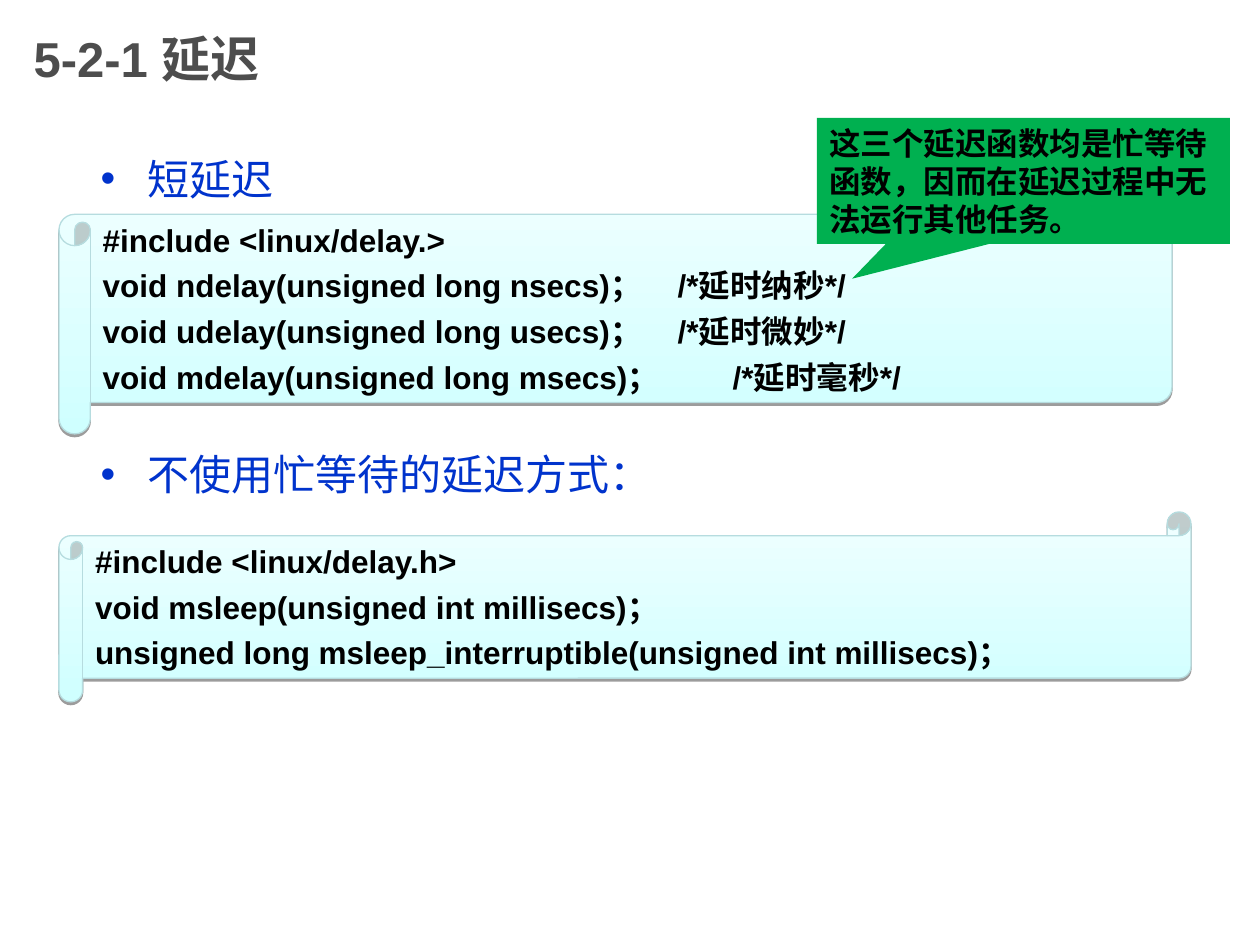
from lxml.etree import SubElement
from pptx import Presentation
from pptx.dml.color import RGBColor as RGB
from pptx.enum.shapes import MSO_SHAPE as SHAPE
from pptx.enum.text import MSO_ANCHOR as ANCHOR, MSO_AUTO_SIZE as AUTO, PP_ALIGN as ALIGN
from pptx.oxml.ns import qn
from pptx.util import Emu, Pt

COLORS = {
    "title": "4D4D4D", "topic": "0033CC", "text": "000000",
    "deep": "CFFFFF", "pale": "F0FFFF", "edge": "B6DCDF",
    "shade": "000000", "note": "00B050",
}
FONT = "Arial"


def px(n):
    return Emu(round(n * 914400 / 126))


def color(name):
    return RGB.from_string(COLORS[name])


def place(shape, box):
    shape.left, shape.top, shape.width, shape.height = map(px, box)


def write(para, text, size=18, ink="text", bold=True, before=0):
    para.alignment = ALIGN.LEFT
    para.space_before = Pt(before)
    run = para.add_run()
    run.text = text
    font = run.font
    font.name, font.size, font.bold = FONT, Pt(size), bold
    font.color.rgb = color(ink)


def lines(frame, texts):
    """Yield one paragraph of the frame for each text."""
    for i, text in enumerate(texts):
        yield i, frame.paragraphs[0] if i == 0 else frame.add_paragraph(), text


def setup(frame, anchor=ANCHOR.TOP):
    frame.word_wrap = True
    frame.auto_size = AUTO.NONE
    frame.vertical_anchor = anchor


def add_tab(para, stop):
    tabs = SubElement(para._p.get_or_add_pPr(), qn("a:tabLst"))
    SubElement(tabs, qn("a:tab"), pos=str(px(stop)), algn="l")


def add_shade(shape):
    effects = SubElement(shape._element.spPr, qn("a:effectLst"))
    outer = SubElement(effects, qn("a:outerShdw"), blurRad="0",
                       dist=str(Pt(1.6)), dir="5400000", rotWithShape="0")
    ink = SubElement(outer, qn("a:srgbClr"), val=COLORS["shade"])
    SubElement(ink, qn("a:alpha"), val="38000")


def add_title(slide, box, text):
    title = slide.shapes.title
    place(title, box)
    setup(title.text_frame, ANCHOR.MIDDLE)
    write(title.text_frame.paragraphs[0], text, size=28, ink="title")


def add_topics(slide, box, topics):
    """Bulleted topics, each given as text and space before in points."""
    body = slide.placeholders[1]
    place(body, box)
    setup(body.text_frame)
    for _, para, (text, gap) in lines(body.text_frame, topics):
        write(para, text, size=24, ink="topic", bold=False, before=gap)
        props = para._p.get_or_add_pPr()
        props.set("marL", str(px(47)))
        props.set("indent", str(px(-47)))
        SubElement(props, qn("a:buFont"), typeface=FONT)
        SubElement(props, qn("a:buChar"), char="•")


def add_scroll(slide, box, code, stops=None):
    """Code on a scroll; stops maps a line number to its comment's tab."""
    scroll = slide.shapes.add_shape(SHAPE.HORIZONTAL_SCROLL, *map(px, box))
    scroll.adjustments[0] = 0.125
    fill = scroll.fill
    fill.gradient()
    fill.gradient_angle = 90
    for stop, name in zip(fill.gradient_stops, ("deep", "pale")):
        stop.color.rgb = color(name)
    scroll.line.color.rgb = color("edge")
    scroll.line.width = Pt(0.75)
    add_shade(scroll)
    setup(scroll.text_frame)
    for i, para, text in lines(scroll.text_frame, code):
        write(para, text, before=4.5)
        if stops and i in stops:
            add_tab(para, stops[i])


def add_note(slide, box, text):
    note = slide.shapes.add_shape(SHAPE.RECTANGULAR_CALLOUT, *map(px, box))
    note.adjustments[0], note.adjustments[1] = -0.415, 0.776
    note.shadow.inherit = False
    note.fill.solid()
    note.fill.fore_color.rgb = color("note")
    note.line.fill.background()
    setup(note.text_frame)
    write(note.text_frame.paragraphs[0], text, before=11.2)


def main():
    deck = Presentation()
    deck.slide_width, deck.slide_height = px(1260), px(945)
    slide = deck.slides.add_slide(deck.slide_layouts[1])
    add_title(slide, (21, 0, 945, 116), "5-2-1 延迟")
    add_topics(slide, (88, 147, 1071, 651),
               [("短延迟", 6), ("不使用忙等待的延迟方式：", 140)])
    add_scroll(slide, (59, 183, 1113, 251), [
        "#include <linux/delay.>",
        "void ndelay(unsigned long nsecs)；\t/*延时纳秒*/",
        "void udelay(unsigned long usecs)；\t/*延时微妙*/",
        "void mdelay(unsigned long msecs)；\t/*延时毫秒*/",
    ], stops={1: 575, 2: 575, 3: 630})
    add_scroll(slide, (59, 512, 1132, 190), [
        "#include <linux/delay.h>",
        "void msleep(unsigned int millisecs)；",
        "unsigned long msleep_interruptible(unsigned int millisecs)；",
    ])
    add_note(slide, (817, 118, 413, 126),
             "这三个延迟函数均是忙等待函数，因而在延迟过程中无法运行其他任务。")
    deck.save("out.pptx")


if __name__ == "__main__":
    main()
